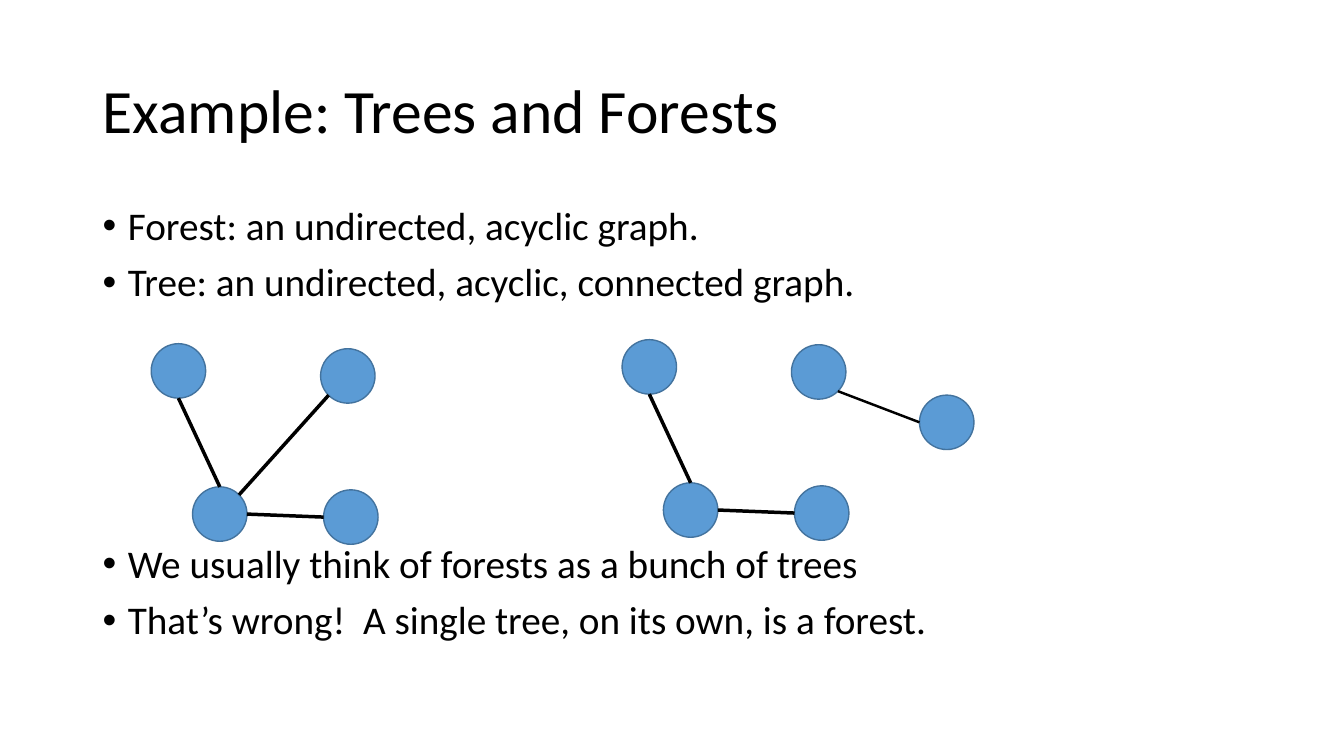
from dataclasses import dataclass
from math import cos, pi, sin

from lxml.etree import SubElement
from pptx import Presentation
from pptx.dml.color import RGBColor
from pptx.enum.shapes import MSO_CONNECTOR, MSO_SHAPE
from pptx.enum.text import MSO_ANCHOR
from pptx.oxml.ns import qn
from pptx.shapes.shapetree import SlideShapes
from pptx.text.text import TextFrame, _Paragraph
from pptx.util import Inches, Pt


@dataclass(frozen=True)
class Theme:
    """Colours, font and sizes of the slide."""
    ink: RGBColor = RGBColor(0, 0, 0)
    fill: RGBColor = RGBColor(0x5B, 0x9B, 0xD5)
    rim: RGBColor = RGBColor(0x43, 0x73, 0x9E)
    font: str = "Calibri"
    title: int = 44
    body: int = 28
    gap: int = 10


@dataclass(frozen=True)
class Node:
    """A graph vertex, placed by its top left corner in inches."""
    left: float
    top: float

    def site(self, turn: int) -> tuple[float, float]:
        """Give a rim point, in eighths of a turn clockwise from the top."""
        angle = turn * pi / 4
        half = SIZE / 2
        return (self.left + half + half * sin(angle),
                self.top + half - half * cos(angle))


@dataclass(frozen=True)
class Edge:
    """A link between two named nodes and the rim points it joins."""
    start: str
    out: int
    end: str
    into: int
    width: float = 2.5


THEME = Theme()
SIZE = 0.54
TOP, RIGHT, LOW_RIGHT, LOW, LEFT, HIGH_RIGHT = 0, 2, 3, 4, 6, 1
LOW_LEFT = 5
SHIFT = (4.67, -0.04)

TREE = {
    "leaf": Node(1.5, 3.41),
    "root": Node(1.91, 4.83),
    "upper": Node(3.18, 3.46),
    "lower": Node(3.21, 4.86),
}
FOREST = {name: Node(node.left + SHIFT[0], node.top + SHIFT[1])
          for name, node in TREE.items()}
FOREST["far"] = Node(9.12, 3.92)

SHARED = [Edge("root", TOP, "leaf", LOW), Edge("root", RIGHT, "lower", LEFT)]
GRAPHS = [
    (TREE, SHARED + [Edge("root", HIGH_RIGHT, "upper", LOW_LEFT)]),
    (FOREST, SHARED + [Edge("upper", LOW_RIGHT, "far", LEFT, 1.75)]),
]

# Each point has its text and the extra space above it, which leaves room
# for the graphs between the second and third points.
POINTS = [
    ("Forest: an undirected, acyclic graph.", 0),
    ("Tree: an undirected, acyclic, connected graph.", 0),
    ("We usually think of forests as a bunch of trees", 161),
    ("That\u2019s wrong!  A single tree, on its own, is a forest.", 0),
]


def add_box(shapes: SlideShapes, top: float, height: float) -> TextFrame:
    """Add a wrapping text box across the slide."""
    box = shapes.add_textbox(Inches(0.92), Inches(top),
                             Inches(11.5), Inches(height))
    box.text_frame.word_wrap = True
    return box.text_frame


def add_text(para: _Paragraph, text: str, size: int) -> None:
    """Write one run in the theme's font and ink."""
    para.line_spacing = 0.9
    run = para.add_run()
    run.text = text
    run.font.name = THEME.font
    run.font.size = Pt(size)
    run.font.color.rgb = THEME.ink


def add_bullet(para: _Paragraph) -> None:
    """Give a paragraph a hanging round bullet."""
    props = para._p.get_or_add_pPr()
    props.set("marL", str(Inches(0.25)))
    props.set("indent", str(Inches(-0.25)))
    SubElement(props, qn("a:buFont")).set("typeface", "Arial")
    SubElement(props, qn("a:buChar")).set("char", "\u2022")


def add_points(shapes: SlideShapes) -> None:
    """Add the bulleted body."""
    frame = add_box(shapes, 2, 4.76)
    for index, (text, extra) in enumerate(POINTS):
        para = frame.add_paragraph() if index else frame.paragraphs[0]
        add_text(para, text, THEME.body)
        para.space_before = Pt(THEME.gap + extra)
        add_bullet(para)


def add_node(shapes: SlideShapes, node: Node) -> None:
    """Draw one vertex."""
    dot = shapes.add_shape(MSO_SHAPE.OVAL, Inches(node.left),
                           Inches(node.top), Inches(SIZE), Inches(SIZE))
    dot.shadow.inherit = False
    dot.fill.solid()
    dot.fill.fore_color.rgb = THEME.fill
    dot.line.color.rgb = THEME.rim
    dot.line.width = Pt(1)


def add_edge(shapes: SlideShapes, nodes: dict[str, Node], edge: Edge) -> None:
    """Draw one link from rim to rim."""
    ends = nodes[edge.start].site(edge.out) + nodes[edge.end].site(edge.into)
    link = shapes.add_connector(MSO_CONNECTOR.STRAIGHT,
                                *[Inches(value) for value in ends])
    link.line.color.rgb = THEME.ink
    link.line.width = Pt(edge.width)
    SubElement(link._element.spPr, qn("a:effectLst"))


def main() -> None:
    """Build and save the slide."""
    deck = Presentation()
    deck.slide_width, deck.slide_height = Inches(13.33), Inches(7.5)
    shapes = deck.slides.add_slide(deck.slide_layouts[6]).shapes
    title = add_box(shapes, 0.4, 1.45)
    title.vertical_anchor = MSO_ANCHOR.MIDDLE
    add_text(title.paragraphs[0], "Example: Trees and Forests", THEME.title)
    add_points(shapes)
    for nodes, edges in GRAPHS:
        for node in nodes.values():
            add_node(shapes, node)
        for edge in edges:
            add_edge(shapes, nodes, edge)
    deck.save("out.pptx")


main()
